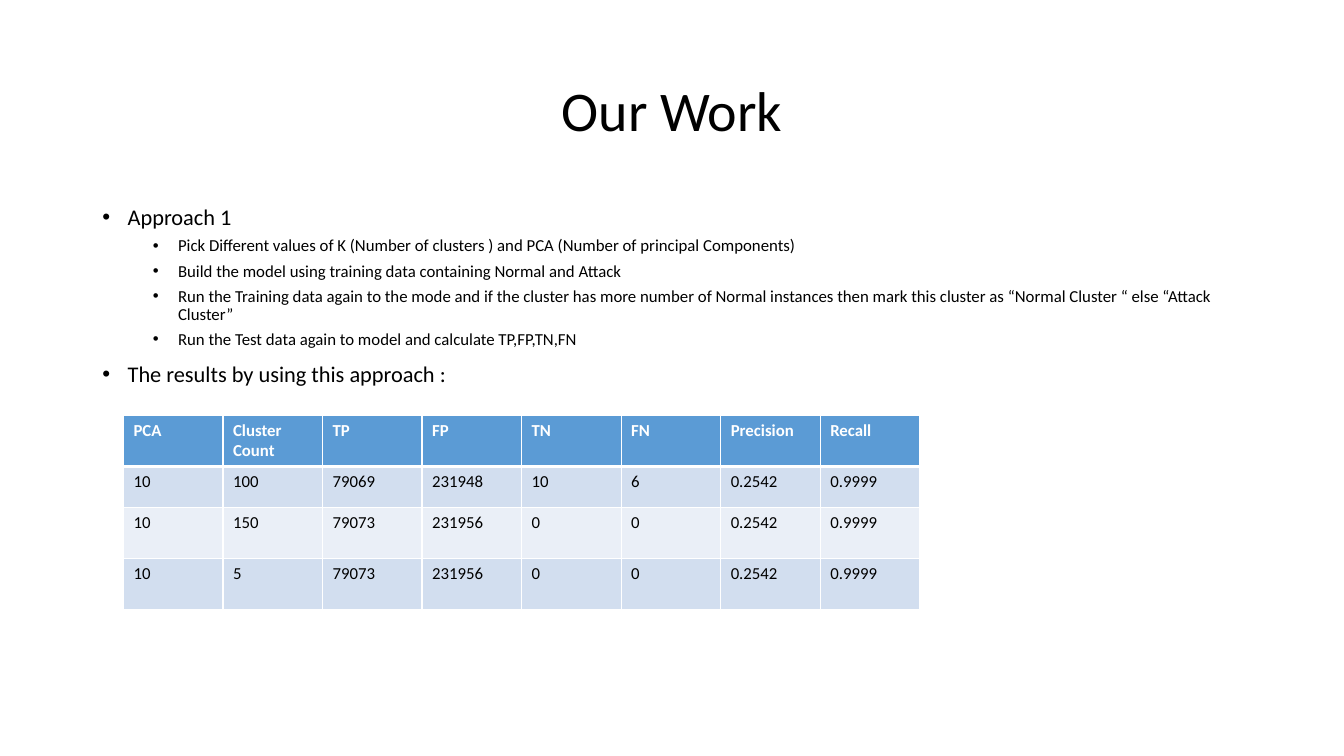
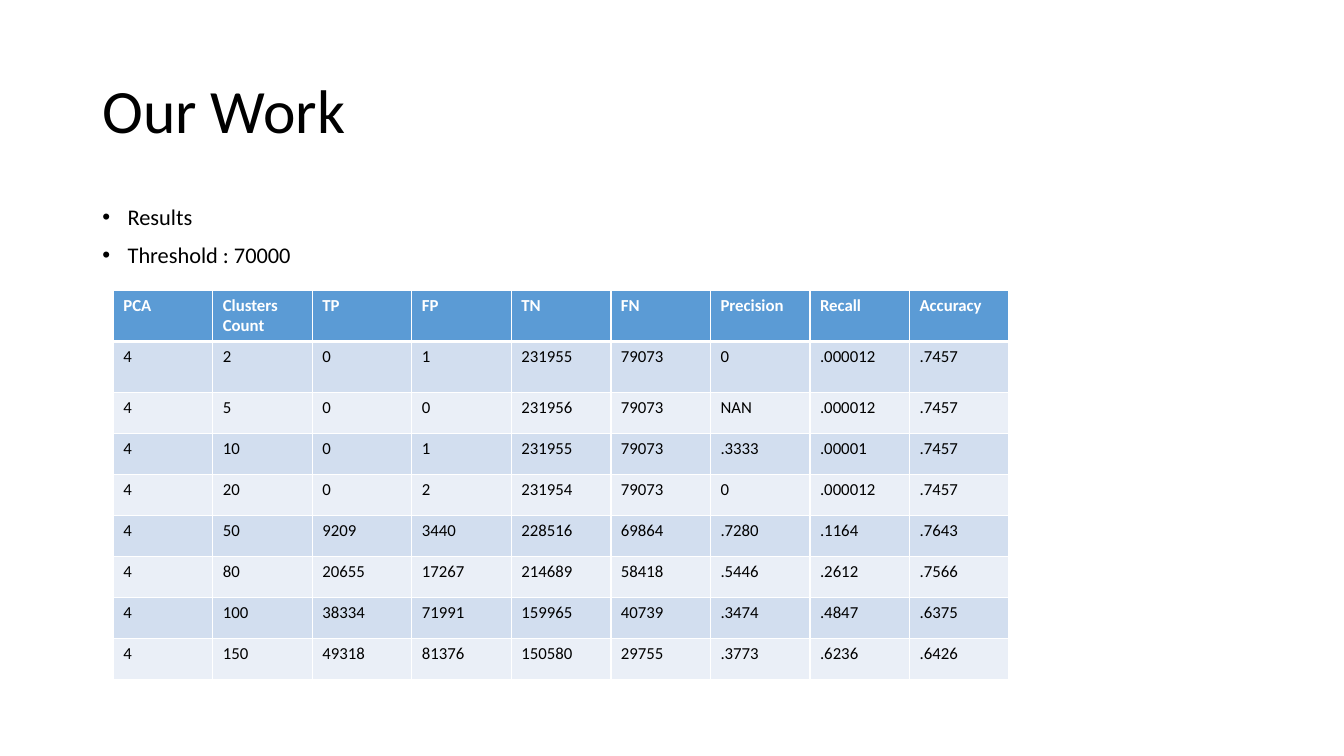
import pptx
import pptx.dml.color
import pptx.enum.text
import pptx.oxml
import pptx.oxml.ns
import pptx.util

Pt = pptx.util.Pt
RGBColor = pptx.dml.color.RGBColor
ALIGN = pptx.enum.text.PP_ALIGN
ANCHOR = pptx.enum.text.MSO_ANCHOR
AUTO_SIZE = pptx.enum.text.MSO_AUTO_SIZE

BLACK = RGBColor(0x00, 0x00, 0x00)
WHITE = RGBColor(0xFF, 0xFF, 0xFF)
HEADER_BLUE = RGBColor(0x5B, 0x9B, 0xD5)
BAND_DARK = RGBColor(0xD2, 0xDE, 0xEF)
BAND_LIGHT = RGBColor(0xEA, 0xEF, 0xF7)
FONT = "Calibri"
SHORT_ROW, TALL_ROW = 29.3, 36.6


def write(para, text, size=12, color=BLACK, bold=False, align=ALIGN.LEFT,
          spacing=None, before=0):
    span = para.add_run()
    span.text = text
    span.font.name = FONT
    span.font.size = Pt(size)
    span.font.bold = bold
    span.font.color.rgb = color
    para.alignment = align
    para.line_spacing = spacing
    para.space_before = Pt(before)


def add_xml(parent, tag, content="", **attributes):
    listed = "".join(f' {name}="{value}"' for name, value in attributes.items())
    namespace = pptx.oxml.ns.nsdecls("a")
    parent.append(pptx.oxml.parse_xml(
        f"<a:{tag} {namespace}{listed}>{content}</a:{tag}>"))


class Report:
    column_width = 71.1

    def __init__(self):
        self.deck = pptx.Presentation()
        self.deck.slide_width = Pt(960)
        self.deck.slide_height = Pt(540)
        self.page = None

    def add_page(self):
        self.page = self.deck.slides.add_slide(self.deck.slide_layouts[1])

    def place(self, box, top, height, anchor):
        box.left, box.top = Pt(66), Pt(top)
        box.width, box.height = Pt(828), Pt(height)
        frame = box.text_frame
        frame.word_wrap = True
        frame.auto_size = AUTO_SIZE.NONE
        frame.vertical_anchor = anchor
        return frame

    def title(self, text, size, align=ALIGN.LEFT):
        frame = self.place(self.page.shapes.title, 28.75, 104.4, ANCHOR.MIDDLE)
        write(frame.paragraphs[0], text, size=size, align=align, spacing=0.9)

    def bullets(self, items):
        frame = self.place(self.page.placeholders[1], 143.75, 342.6, ANCHOR.TOP)
        for index, (level, text) in enumerate(items):
            para = frame.add_paragraph() if index else frame.paragraphs[0]
            para.level = level
            write(para, text, size=12 if level else 16, spacing=0.9,
                  before=5 if level else 10)
            properties = para._p.get_or_add_pPr()
            properties.set("marL", str(Pt(54 if level else 18)))
            properties.set("indent", str(-Pt(18)))
            add_xml(properties, "buFont", typeface="Arial")
            add_xml(properties, "buChar", char="•")

    def borders(self, cell, top, bottom):
        properties = cell._tc.get_or_add_tcPr()
        for side, width in zip("LRTB", (1, 1, top, bottom)):
            add_xml(properties, "ln" + side,
                    f'<a:solidFill><a:srgbClr val="{WHITE}"/></a:solidFill>',
                    w=Pt(width))

    def table(self, left, top, rows, heights):
        columns = len(rows[0])
        table = self.page.shapes.add_table(
            len(rows), columns, Pt(left), Pt(top),
            Pt(columns * self.column_width), Pt(sum(heights))).table
        for column in table.columns:
            column.width = Pt(self.column_width)
        for index, (values, height) in enumerate(zip(rows, heights)):
            table.rows[index].height = Pt(height)
            header = index == 0
            band = BAND_DARK if index % 2 else BAND_LIGHT
            for cell, text in zip(table.rows[index].cells, values):
                self.borders(cell, 3 if index == 1 else 1, 3 if header else 1)
                cell.fill.solid()
                cell.fill.fore_color.rgb = HEADER_BLUE if header else band
                write(cell.text_frame.paragraphs[0], text, bold=header,
                      color=WHITE if header else BLACK)


report = Report()

report.add_page()
report.title("Our Work", 40, ALIGN.CENTER)
report.bullets([
    (0, "Approach 1"),
    (1, "Pick Different values of K (Number of clusters ) and PCA "
        "(Number of principal Components)"),
    (1, "Build the model using training data containing Normal and Attack"),
    (1, "Run the Training data again to the mode and if the cluster has more "
        "number of Normal instances then mark this cluster as "
        "“Normal Cluster “ else “Attack Cluster”"),
    (1, "Run the Test data again to model and calculate TP,FP,TN,FN"),
    (0, "The results by using this approach :"),
])
report.table(88.2, 296.6, [
    ("PCA", "Cluster Count", "TP", "FP", "TN", "FN", "Precision", "Recall"),
    ("10", "100", "79069", "231948", "10", "6", "0.2542", "0.9999"),
    ("10", "150", "79073", "231956", "0", "0", "0.2542", "0.9999"),
    ("10", "5", "79073", "231956", "0", "0", "0.2542", "0.9999"),
], [TALL_ROW, SHORT_ROW, TALL_ROW, TALL_ROW])

report.add_page()
report.title("Our Work", 44)
report.bullets([(0, "Results"), (0, "Threshold : 70000")])
report.table(80.9, 207.4, [
    ("PCA", "Clusters Count", "TP", "FP", "TN", "FN", "Precision", "Recall",
     "Accuracy"),
    ("4", "2", "0", "1", "231955", "79073", "0", ".000012", ".7457"),
    ("4", "5", "0", "0", "231956", "79073", "NAN", ".000012", ".7457"),
    ("4", "10", "0", "1", "231955", "79073", ".3333", ".00001", ".7457"),
    ("4", "20", "0", "2", "231954", "79073", "0", ".000012", ".7457"),
    ("4", "50", "9209", "3440", "228516", "69864", ".7280", ".1164", ".7643"),
    ("4", "80", "20655", "17267", "214689", "58418", ".5446", ".2612", ".7566"),
    ("4", "100", "38334", "71991", "159965", "40739", ".3474", ".4847", ".6375"),
    ("4", "150", "49318", "81376", "150580", "29755", ".3773", ".6236", ".6426"),
], [TALL_ROW] * 2 + [SHORT_ROW] * 7)

report.deck.save("out.pptx")
